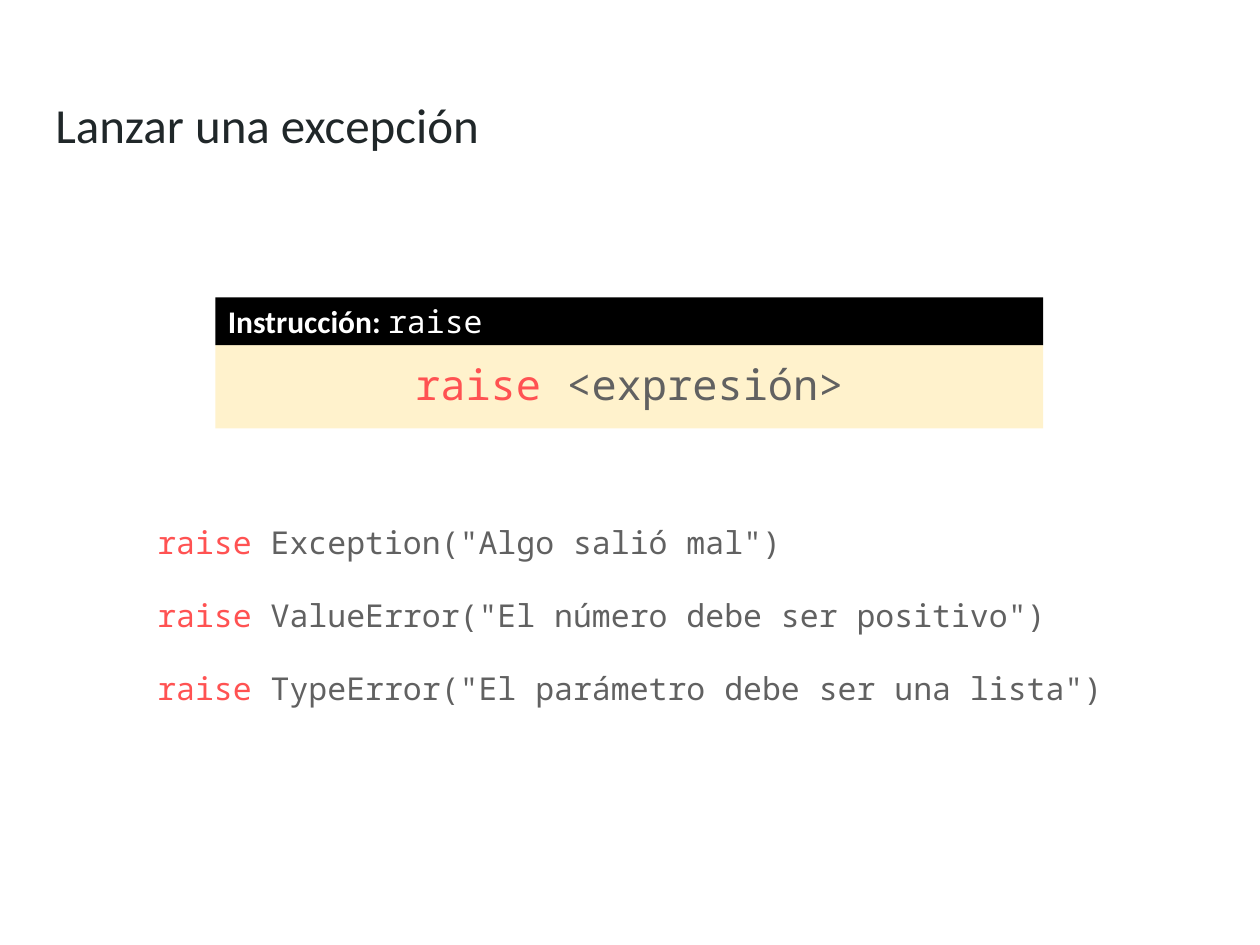
import pptx
import pptx.dml.color
import pptx.enum.shapes
import pptx.enum.text
import pptx.util

COLORS = {
    "title": "202729",
    "keyword": "FF5252",
    "code": "616161",
    "header": "000000",
    "header_text": "FFFFFF",
    "syntax": "FFF2CC",
}
TEXT_FONT = "Calibri"
CODE_FONT = "Noto Sans Mono"
ALIGN = pptx.enum.text.PP_ALIGN
ANCHOR = pptx.enum.text.MSO_ANCHOR


class SlideBuilder:
    def __init__(self, presentation):
        self.width = presentation.slide_width
        self.height = presentation.slide_height
        self.slide = presentation.slides.add_slide(presentation.slide_layouts[6])

    def color(self, name):
        return pptx.dml.color.RGBColor.from_string(COLORS[name])

    def place(self, left, top, width, height):
        return (
            round(left * self.width),
            round(top * self.height),
            round(width * self.width),
            round(height * self.height),
        )

    def set_text(self, shape, runs, size, font=CODE_FONT, anchor=ANCHOR.MIDDLE,
                 align=ALIGN.LEFT, spacing=1.0):
        frame = shape.text_frame
        frame.word_wrap = True
        frame.vertical_anchor = anchor
        frame.margin_left = frame.margin_right = pptx.util.Inches(0.1)
        frame.margin_top = frame.margin_bottom = pptx.util.Inches(0.1)
        paragraph = frame.paragraphs[0]
        paragraph.alignment = align
        paragraph.line_spacing = spacing
        paragraph.font.size = pptx.util.Pt(size)
        paragraph.font.name = font
        for text, color in runs:
            run = paragraph.add_run()
            run.text = text
            run.font.color.rgb = self.color(color)
        return paragraph

    def text(self, area, runs, size, **style):
        shape = self.slide.shapes.add_textbox(*self.place(*area))
        return self.set_text(shape, runs, size, **style)

    def panel(self, area, fill, runs, size, **style):
        shape = self.slide.shapes.add_shape(
            pptx.enum.shapes.MSO_SHAPE.RECTANGLE, *self.place(*area))
        shape.shadow.inherit = False
        shape.fill.solid()
        shape.fill.fore_color.rgb = self.color(fill)
        shape.line.fill.background()
        return self.set_text(shape, runs, size, **style)


def raise_statement(expression):
    return [("raise", "keyword"), (f" {expression}", "code")]


def main():
    presentation = pptx.Presentation()
    presentation.slide_width = pptx.util.Inches(10)
    presentation.slide_height = pptx.util.Inches(7.5)
    builder = SlideBuilder(presentation)

    builder.text((0.034, 0.65 / 7.5, 0.932, 0.83 / 7.5),
                 [("Lanzar una excepción", "title")], 28,
                 font=TEXT_FONT, anchor=ANCHOR.TOP)

    panel_left, panel_width = 0.171, 0.657
    header_top, header_height = 2.36 / 7.5, 0.38 / 7.5
    row_height = 0.66 / 7.5
    builder.panel((panel_left, header_top + header_height, panel_width, row_height),
                  "syntax", raise_statement("<expresión>"), 24,
                  align=ALIGN.CENTER, spacing=0.9)

    examples = [
        'Exception("Algo salió mal")',
        'ValueError("El número debe ser positivo")',
        'TypeError("El parámetro debe ser una lista")',
    ]
    first_top, step = 3.99 / 7.5, 0.58 / 7.5
    for index, example in enumerate(examples):
        builder.text((0.115, first_top + index * step, 0.77, row_height),
                     raise_statement(example), 18, spacing=0.9)

    header = builder.panel((panel_left, header_top, panel_width, header_height), "header",
                           [("Instrucción: ", "header_text"), ("raise", "header_text")], 18)
    label = header.runs[0]
    label.font.name = TEXT_FONT
    label.font.bold = True

    presentation.save("out.pptx")


if __name__ == "__main__":
    main()
